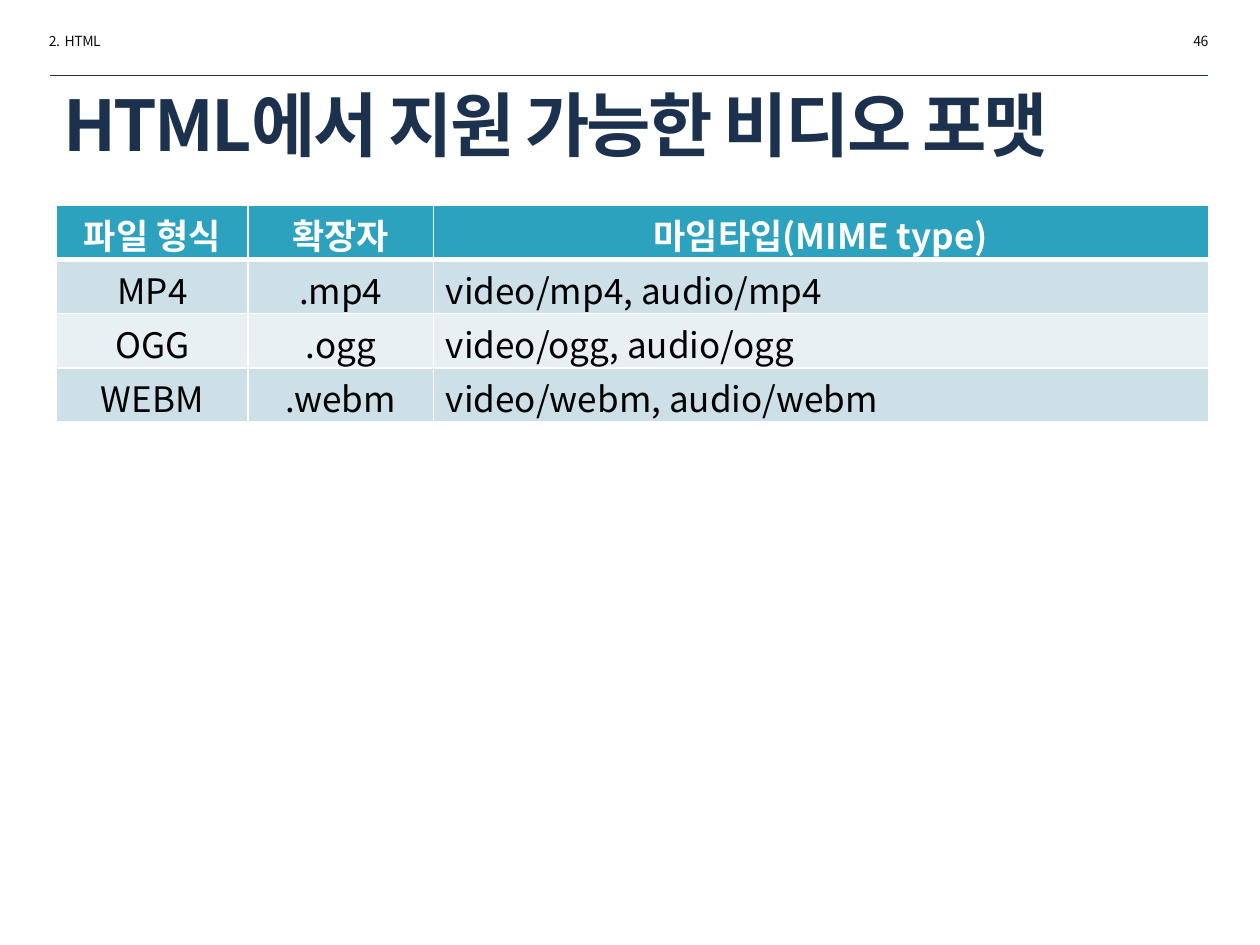
from pptx import Presentation
from pptx import util as u
from pptx.dml.color import RGBColor
from pptx.enum import shapes, text
from pptx.oxml import parse_xml
from pptx.oxml.ns import nsdecls, qn
from lxml import etree

FONT = "Noto Sans CJK KR"
NAVY = RGBColor(0x1C, 0x31, 0x4E)
INK = RGBColor(0x0D, 0x0D, 0x0D)
BLACK = RGBColor(0, 0, 0)
WHITE = RGBColor(0xFF, 0xFF, 0xFF)
TEAL = RGBColor(0x2D, 0xA2, 0xBF)
BANDS = RGBColor(0xCD, 0xE0, 0xE8), RGBColor(0xE8, 0xF0, 0xF4)

TITLE = "HTML에서 지원 가능한 비디오 포맷"
HEADERS = [("2.  HTML", 0.29, text.PP_ALIGN.LEFT),
           ("46", 7.96, text.PP_ALIGN.RIGHT)]
ROWS = [
    ("파일 형식", "확장자", "마임타입(MIME type)"),
    ("MP4", ".mp4", "video/mp4, audio/mp4"),
    ("OGG", ".ogg", "video/ogg, audio/ogg"),
    ("WEBM", ".webm", "video/webm, audio/webm"),
]
COLUMNS = (1.52, 1.47, 6.15)
ROW_HEIGHT = 0.43


def write(tf, words, size, color, bold=False, align=text.PP_ALIGN.LEFT, spacing=0):
    """Fill a text frame; spacing is the letter spacing in points."""
    p = tf.paragraphs[0]
    p.alignment = align
    r = p.add_run()
    r.text = words
    f = r.font
    f.name, f.size, f.bold = FONT, u.Pt(size), bold
    f.color.rgb = color
    rPr = r._r.get_or_add_rPr()
    etree.SubElement(rPr, qn("a:ea")).set("typeface", FONT)
    if spacing:
        rPr.set("spc", str(round(spacing * 100)))


def add_borders(cell, **widths):
    tcPr = cell._tc.get_or_add_tcPr()
    for i, side in enumerate("LRTB"):
        width = u.Pt(widths.get(side, 1))
        tcPr.insert(i, parse_xml(
            f'<a:ln{side} {nsdecls("a")} w="{width}"><a:solidFill>'
            f'<a:srgbClr val="{WHITE}"/></a:solidFill></a:ln{side}>'))


def add_table(s):
    frame = s.shapes.add_table(
        len(ROWS), len(COLUMNS), u.Inches(0.45), u.Inches(1.63),
        u.Inches(sum(COLUMNS)), u.Inches(ROW_HEIGHT * len(ROWS)))
    table = frame.table
    for column, width in zip(table.columns, COLUMNS):
        column.width = u.Inches(width)
    for i, row in enumerate(ROWS):
        table.rows[i].height = u.Inches(ROW_HEIGHT)
        head = i == 0
        for j, words in enumerate(row):
            cell = table.cell(i, j)
            centred = head or j < 2
            cell.margin_top, cell.margin_bottom = u.Inches(0.03), 0
            cell.vertical_anchor = (text.MSO_ANCHOR.MIDDLE if centred
                                    else text.MSO_ANCHOR.TOP)
            cell.fill.solid()
            cell.fill.fore_color.rgb = TEAL if head else BANDS[(i - 1) % 2]
            add_borders(cell, T=3 if i == 1 else 1, B=3 if head else 1)
            write(cell.text_frame, words, 20, WHITE if head else BLACK, bold=head,
                  align=text.PP_ALIGN.CENTER if centred else text.PP_ALIGN.LEFT)


def main():
    prs = Presentation()
    prs.slide_width, prs.slide_height = u.Inches(10), u.Inches(7.5)
    s = prs.slides.add_slide(prs.slide_layouts[5])

    title = s.shapes.title
    title.left, title.top = u.Inches(0.4), u.Inches(0.66)
    title.width, title.height = u.Inches(9.15), u.Inches(0.64)
    tf = title.text_frame
    tf.vertical_anchor = text.MSO_ANCHOR.MIDDLE
    tf.auto_size = text.MSO_AUTO_SIZE.NONE
    write(tf, TITLE, 40, NAVY, bold=True, spacing=-1.5)

    for words, left, align in HEADERS:
        box = s.shapes.add_textbox(u.Inches(left), u.Inches(0.21),
                                   u.Inches(1.73), u.Inches(0.24))
        box.text_frame.word_wrap = True
        write(box.text_frame, words, 8, INK, align=align, spacing=-0.3)

    rule = s.shapes.add_connector(shapes.MSO_CONNECTOR.STRAIGHT, u.Inches(0.4),
                                  u.Inches(0.6), u.Inches(9.59), u.Inches(0.6))
    rule.line.color.rgb = NAVY
    rule.line.width = u.Pt(0.25)
    etree.SubElement(rule._element.spPr, qn("a:effectLst"))

    add_table(s)
    prs.save("out.pptx")


if __name__ == "__main__":
    main()
